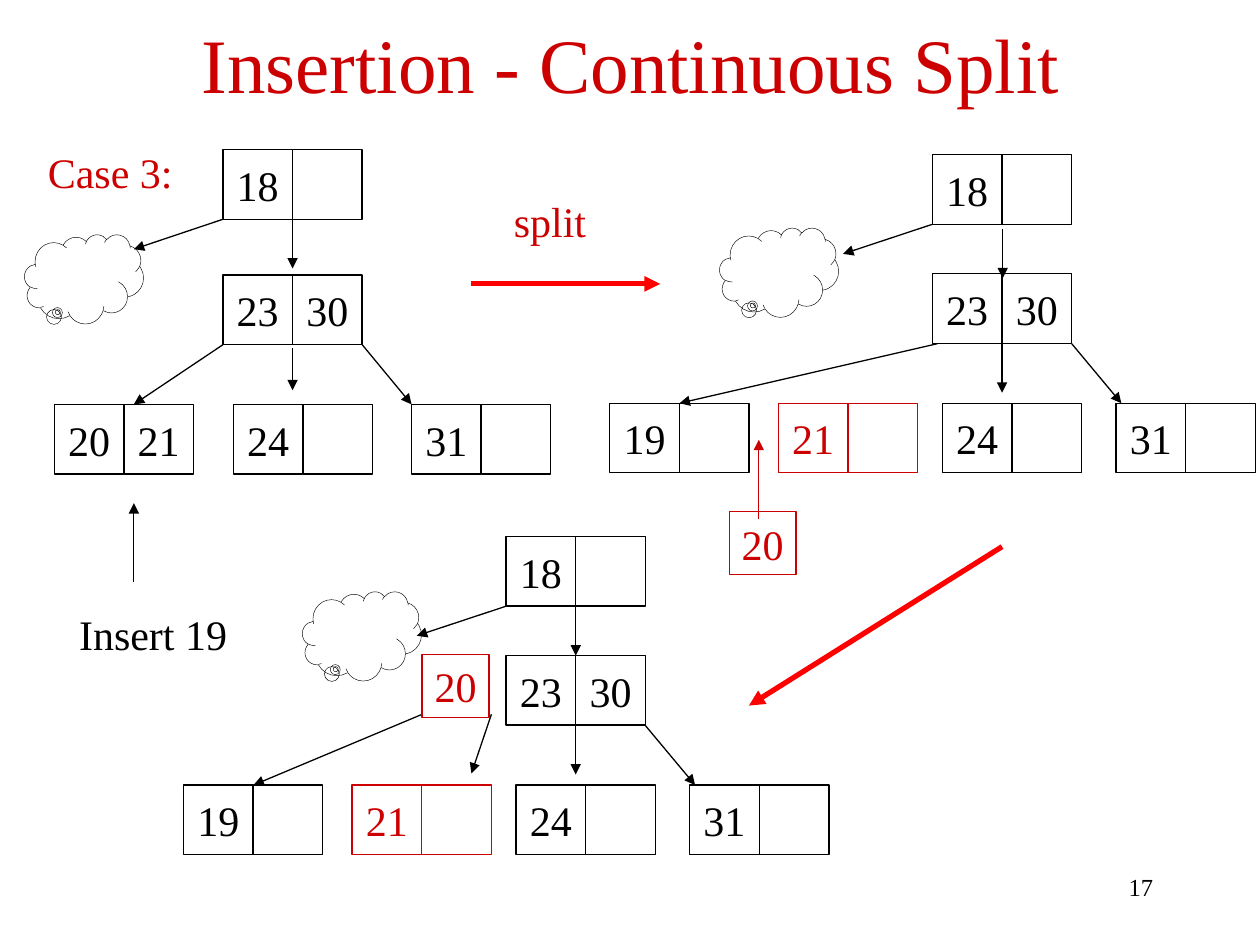
from lxml.etree import SubElement
from pptx import Presentation
from pptx.dml.color import RGBColor
from pptx.enum.shapes import MSO_CONNECTOR as Connector, MSO_SHAPE as Shape
from pptx.enum.text import MSO_ANCHOR as Anchor, PP_ALIGN as Align
from pptx.oxml.ns import qn
from pptx.util import Pt

BLACK = RGBColor(0x00, 0x00, 0x00)
CRIMSON = RGBColor(0xCC, 0x00, 0x00)
RED = RGBColor(0xFF, 0x00, 0x00)
FONT = "Times New Roman"
CELL = 39.8


def outline(sp, color, width=0.75):
    sp.shadow.inherit = False
    sp.fill.background()
    sp.line.color.rgb = color
    sp.line.width = Pt(width)


def write(sp, text, size=24, color=BLACK, align=Align.CENTER,
          anchor=Anchor.TOP, wrap=False):
    tf = sp.text_frame
    tf.word_wrap = wrap
    tf.vertical_anchor = anchor
    p = tf.paragraphs[0]
    p.alignment = align
    r = p.add_run()
    r.text = text
    r.font.name = FONT
    r.font.size = Pt(size)
    r.font.color.rgb = color


def add_label(s, text, x, y, w, h=36, **style):
    sp = s.shapes.add_textbox(Pt(x), Pt(y), Pt(w), Pt(h))
    write(sp, text, **style)


def add_box(s, text, x, y, w, h, color=BLACK, anchor=Anchor.MIDDLE):
    sp = s.shapes.add_shape(Shape.RECTANGLE, Pt(x), Pt(y), Pt(w), Pt(h))
    outline(sp, color)
    if text:
        write(sp, text, color=color, anchor=anchor)


def add_node(s, x, y, *keys, color=BLACK):
    """A tree node has two cells; a missing key leaves its cell empty."""
    for i in range(2):
        key = keys[i] if i < len(keys) else ""
        add_box(s, key, x + i * CELL, y, CELL, CELL, color)


def add_key(s, text, x, y):
    add_box(s, text, x, y, 38.2, 36, CRIMSON, Anchor.TOP)


def add_arrow(s, x1, y1, x2, y2, color=BLACK, width=0.75):
    c = s.shapes.add_connector(Connector.STRAIGHT, Pt(x1), Pt(y1), Pt(x2), Pt(y2))
    c.line.color.rgb = color
    c.line.width = Pt(width)
    SubElement(c.line._get_or_add_ln(), qn("a:tailEnd"), type="triangle")
    SubElement(c._element.spPr, qn("a:effectLst"))


def add_cloud(s, x, y):
    sp = s.shapes.add_shape(Shape.CLOUD_CALLOUT, Pt(x), Pt(y), Pt(68), Pt(51))
    sp.adjustments[0] = -0.22
    sp.adjustments[1] = 0.37
    outline(sp, BLACK, 0.25)


def add_first_tree(s):
    add_node(s, 127.4, 85.5, "18")
    add_node(s, 127.4, 157.2, "23", "30")
    for x, keys in ((31, ("20", "21")), (133.3, ("24",)), (235.2, ("31",))):
        add_node(s, x, 231.1, *keys)
    add_arrow(s, 127.4, 125.3, 76.5, 142.4)
    add_arrow(s, 167.2, 125.3, 167.2, 153.4)
    add_arrow(s, 127.4, 197, 76.5, 231.1)
    add_arrow(s, 167.2, 199, 167.2, 223)
    add_arrow(s, 207, 197, 235.2, 231.1)


def add_split_tree(s, x, y):
    """Tree whose first leaf was split; x, y is the corner of its root."""
    add_node(s, x, y, "18")
    add_node(s, x, y + 68, "23", "30")
    leaves = ((-184.3, "19", BLACK), (-88, "21", CRIMSON),
              (5.7, "24", BLACK), (104.9, "31", BLACK))
    for dx, key, color in leaves:
        add_node(s, x + dx, y + 142, key, color=color)
    add_arrow(s, x, y + CELL, x - 51, y + 56.7)
    add_arrow(s, x + CELL, y + 108, x + CELL, y + 136)
    add_arrow(s, x + 2 * CELL, y + 108, x + 108, y + 142)


def main():
    prs = Presentation()
    prs.slide_width, prs.slide_height = Pt(720), Pt(540)
    s = prs.slides.add_slide(prs.slide_layouts[6])

    # Title, captions and slide number
    add_label(s, "Insertion - Continuous Split", 36.5, 0, 648, 72, size=44,
              color=CRIMSON, anchor=Anchor.MIDDLE, wrap=True)
    add_label(s, "Case 3:", 18, 80.2, 90, color=CRIMSON)
    add_label(s, "split", 283.3, 108, 62, color=CRIMSON)
    add_label(s, "Insert 19", 34.5, 344.4, 106)
    add_label(s, "17", 516, 494.6, 150, size=14, align=Align.RIGHT, wrap=True)

    # Before the insertion
    add_first_tree(s)
    add_arrow(s, 76.5, 332.6, 76.5, 287.5)

    # Leaf split, key 20 moves up
    add_split_tree(s, 532.8, 88.4)
    add_arrow(s, 573, 131, 573, 159)
    add_arrow(s, 535.7, 196.4, 388.3, 230.4)
    add_arrow(s, 433.6, 296.6, 433.6, 251.3, CRIMSON)
    add_key(s, "20", 416.7, 292.5)

    # Key 20 next to the full inner node
    add_split_tree(s, 289.2, 306.6)
    add_arrow(s, 329, 346.4, 329, 374.6)
    add_arrow(s, 241.2, 408.2, 144.9, 448.6)
    add_arrow(s, 280.8, 408.2, 269.4, 442)
    add_key(s, "20", 241.2, 373.9)

    # Steps between the trees
    add_arrow(s, 269.2, 162.2, 377.2, 162.2, RED, 3)
    add_arrow(s, 572.6, 312.4, 428, 403.2, RED, 3)

    # Left subtrees
    for x, y in ((14, 134), (411.2, 130.2), (172.8, 338)):
        add_cloud(s, x, y)

    prs.save("out.pptx")


if __name__ == "__main__":
    main()
